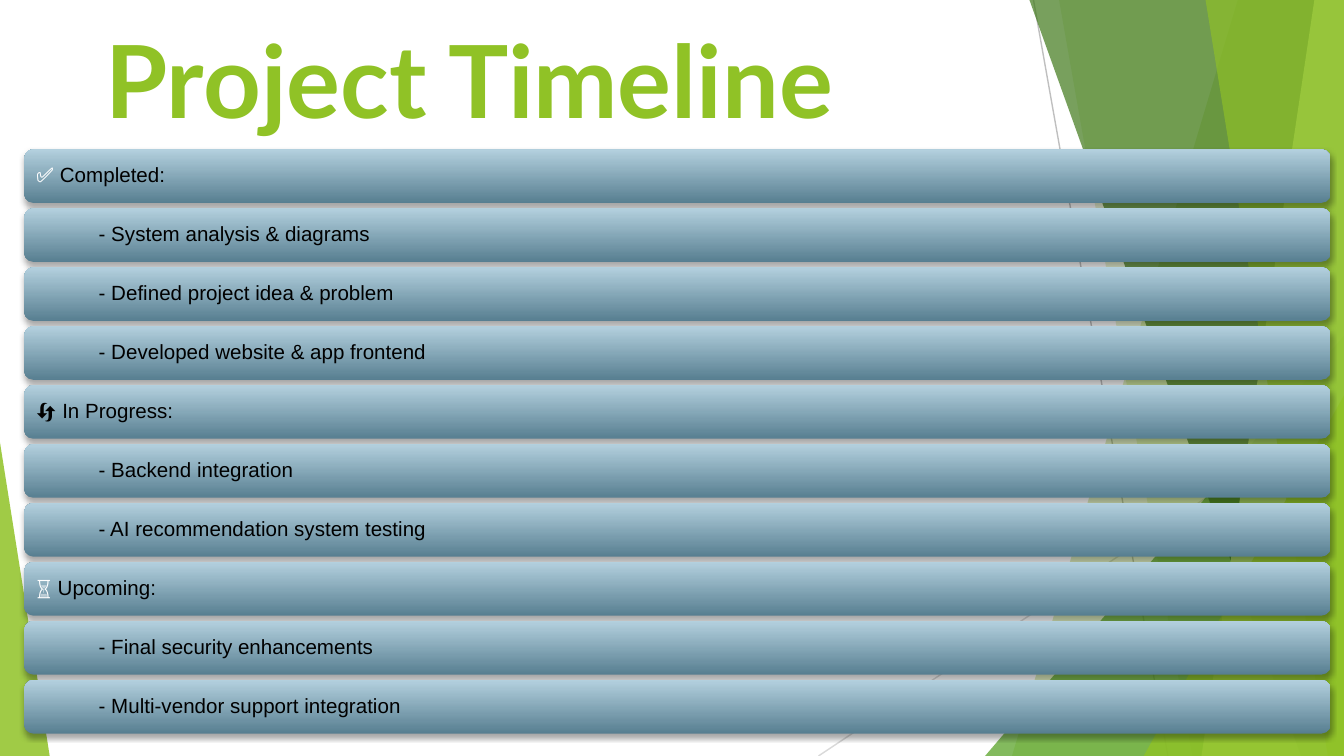
from lxml import etree
from pptx import Presentation
from pptx import util as u
from pptx.dml.color import RGBColor
from pptx.enum import shapes, text
from pptx.oxml import ns

COLORS = {
    "lime": "90C226", "green": "54A021", "forest": "3F7819", "pale": "C0E474",
    "gray": "BFBFBF", "mist": "D9D9D9", "slate": "587F91", "sky": "B3D0DE",
    "white": "FFFFFF", "black": "000000",
}


def rgb(name):
    return RGBColor.from_string(COLORS[name])


def add_child(parent, tag, **attributes):
    child = etree.SubElement(parent, ns.qn(tag))
    for key, value in attributes.items():
        child.set(key, str(value))
    return child


deck = Presentation()
deck.slide_width = u.Inches(10)
deck.slide_height = u.Inches(10 * 9 / 16)
col = deck.slide_width / 100
row = deck.slide_height / 100
slide = deck.slides.add_slide(deck.slide_layouts[5])

rays = [(76.9, 0, 86.9, 100, "gray"), (100, 53.7, 60.9, 100, "mist")]
for x1, y1, x2, y2, color in rays:
    ray = slide.shapes.add_connector(
        shapes.MSO_CONNECTOR.STRAIGHT,
        int(x1 * col), int(y1 * row), int(x2 * col), int(y2 * row))
    ray.line.width = u.Pt(0.75)
    ray.line.color.rgb = rgb(color)
    add_child(ray._element.spPr, "a:effectLst")

facets = [
    ("panel", (92.1, 75.3), "lime", 30),
    ("panel", (78.8, 88.7), "lime", 20),
    ("peak", (73.3, 26.7, 44.4, 1), "green", 72),
    ("panel", (76.6, 96.8), "forest", 70),
    ("panel", (97.8, 89.4), "pale", 70),
    ("panel", (89.7, 98.8), "lime", 65),
    ("peak", (85.1, 14.9, 52.3, 1), "lime", 80),
    ("peak", (0, 3.7, 58.5, 0), "lime", 85),
]
for kind, geometry, color, opacity in facets:
    if kind == "panel":
        top_x, bottom_x = geometry
        corners = [(100, 0), (100, 100), (bottom_x, 100)]
        outline = slide.shapes.build_freeform(int(top_x * col), 0)
        outline.add_line_segments([(int(x * col), int(y * row)) for x, y in corners])
        facet = outline.convert_to_shape()
    else:
        left, width, top, apex = geometry
        facet = slide.shapes.add_shape(
            shapes.MSO_SHAPE.ISOSCELES_TRIANGLE,
            int(left * col), int(top * row), int(width * col), int((100 - top) * row))
        facet.adjustments[0] = apex
    facet.shadow.inherit = False
    facet.line.fill.background()
    facet.fill.solid()
    facet.fill.fore_color.rgb = rgb(color)
    tint = facet._element.spPr.find(ns.qn("a:solidFill"))[0]
    add_child(tint, "a:alpha", val=opacity * 1000)

heading = slide.shapes.title
heading_place = {"left": -7.5 * col, "top": 0, "width": 70.5 * col, "height": 19.2 * row}
for key, value in heading_place.items():
    setattr(heading, key, int(value))
heading.text_frame.text = "Project Timeline"
heading_frame = {"vertical_anchor": text.MSO_ANCHOR.BOTTOM, "word_wrap": True,
                 "auto_size": text.MSO_AUTO_SIZE.NONE}
for key, value in heading_frame.items():
    setattr(heading.text_frame, key, value)
heading_line = heading.text_frame.paragraphs[0]
heading_line.alignment = text.PP_ALIGN.RIGHT
for key, value in {"name": "Lato", "size": u.Pt(54), "bold": True}.items():
    setattr(heading_line.font, key, value)
heading_line.font.color.rgb = rgb("lime")

stages = [
    ("✅ ", "white", "Completed:",
     ["System analysis & diagrams", "Defined project idea & problem",
      "Developed website & app frontend"]),
    ("🔄 ", "black", "In Progress:",
     ["Backend integration", "AI recommendation system testing"]),
    ("⏳ ", "white", "Upcoming:",
     ["Final security enhancements", "Multi-vendor support integration"]),
]
entries = []
for symbol, symbol_color, stage, tasks in stages:
    entries.append((0, [(symbol, symbol_color), (stage, "black")]))
    entries += [(4.65, [(f"- {task}", "black")]) for task in tasks]

bar_frame = {"vertical_anchor": text.MSO_ANCHOR.MIDDLE, "word_wrap": True,
             "margin_left": int(0.7 * col), "margin_right": int(0.7 * col),
             "margin_top": 0, "margin_bottom": 0}
bar_font = {"name": "Arial", "size": u.Pt(11)}
for index, (indent, pieces) in enumerate(entries):
    bar = slide.shapes.add_shape(
        shapes.MSO_SHAPE.ROUNDED_RECTANGLE,
        int(1.8 * col), int((19.75 + 7.8 * index) * row), int(97.2 * col), int(7.1 * row))
    bar.adjustments[0] = 0.17
    bar.line.fill.background()
    bar.fill.gradient()
    bar.fill.gradient_angle = 90
    for stop, position, color in zip(bar.fill.gradient_stops, (0, 1), ("slate", "sky")):
        stop.position = position
        stop.color.rgb = rgb(color)
    bar.shadow.inherit = False
    effects = bar._element.spPr.find(ns.qn("a:effectLst"))
    shade = add_child(effects, "a:outerShdw", blurRad=u.Pt(3.1), dist=u.Pt(1.8),
                      dir=5400000, algn="ctr", rotWithShape=0)
    shade_color = add_child(shade, "a:srgbClr", val=COLORS["black"])
    add_child(shade_color, "a:alpha", val=34000)

    for key, value in bar_frame.items():
        setattr(bar.text_frame, key, value)
    line = bar.text_frame.paragraphs[0]
    line.alignment = text.PP_ALIGN.LEFT
    line.line_spacing = 0.9
    line._p.get_or_add_pPr().set("marL", str(int(indent * col)))
    for words, color in pieces:
        piece = line.add_run()
        piece.text = words
        for key, value in bar_font.items():
            setattr(piece.font, key, value)
        piece.font.color.rgb = rgb(color)

deck.save("out.pptx")
